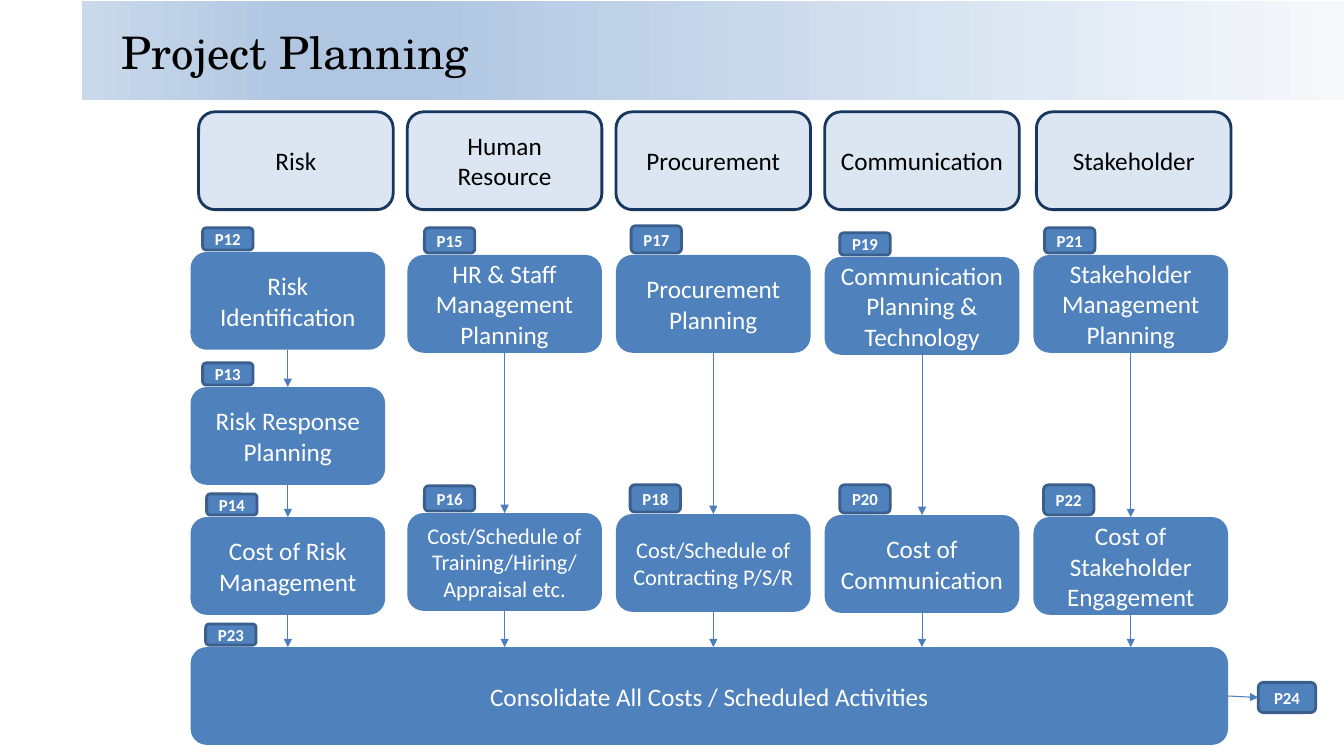
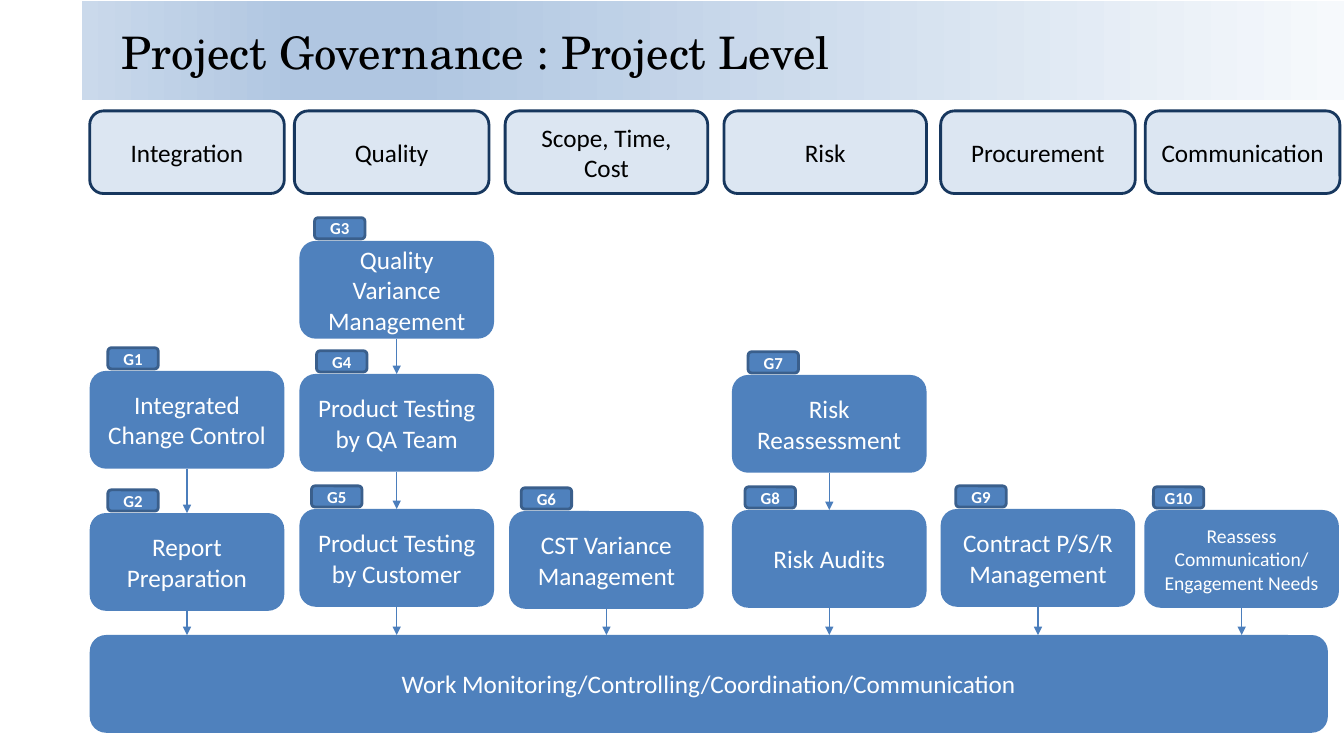
from lxml import etree
from pptx import Presentation
from pptx.dml.color import RGBColor
from pptx.enum.shapes import MSO_CONNECTOR, MSO_SHAPE
from pptx.enum.text import MSO_ANCHOR, PP_ALIGN
from pptx.oxml.ns import qn
from pptx.util import Inches, Pt

RECTANGLE = MSO_SHAPE.RECTANGLE
ROUNDED = MSO_SHAPE.ROUNDED_RECTANGLE
STRAIGHT = MSO_CONNECTOR.STRAIGHT
MIDDLE = MSO_ANCHOR.MIDDLE
CENTER = PP_ALIGN.CENTER
TOP, LEFT, BOTTOM, RIGHT = range(4)

COLORS = {
    "step": "4F81BD", "step text": "FFFFFF",
    "heading": "DCE6F2", "heading line": "17375E", "heading text": "000000",
    "tag line": "3A5F8C", "arrow": "4B7EBC", "title": "000000",
}
BAND_STOPS = [(0, "F6F9FC"), (74, "B0C6E1"), (83, "B0C6E1"), (100, "CAD9EB")]
TITLE_FONT, BODY_FONT = "TeX Gyre Schola", "Calibri"

# Grid, in inches
SLIDE_WIDTH, SLIDE_HEIGHT = 13.33, 7.5
BAND_LEFT = 0.81
STEP_WIDTH, STEP_HEIGHT = 1.93, 0.97
TAG_WIDTH, TAG_GAP = 0.5, 0.02
PITCH = 2.07
FIRST = 1.97  # left edge of the first planning column

# Column: heading, heading left, heading width, step left, steps
# Step: tag, tag indent, tag height, top, text, text size
PAGES = [
    {
        "title": "Project Planning",
        "heading row": (1.11, 0.97),
        "bar": (1.89, 6.42, 10.29, "Consolidate All Costs / Scheduled Activities"),
        "bar tag": ("P23", 0.15, 0.21),
        "exit tag": ("P24", 12.48, 6.77, 0.57, 0.3),
        "columns": [
            ("Risk", FIRST, 1.93, FIRST - 0.08, [
                ("P12", 0.12, 0.22, 2.5, "Risk Identification", 18),
                ("P13", 0.12, 0.22, 3.84, "Risk Response Planning", 18),
                ("P14", 0.16, 0.21, 5.13, "Cost of Risk Management", 18)]),
            ("Human Resource", FIRST + PITCH, 1.93, FIRST + PITCH, [
                ("P15", 0.17, 0.25, 2.53, "HR & Staff Management Planning", 18),
                ("P16", 0.17, 0.25, 5.09,
                 "Cost/Schedule of Training/Hiring/ Appraisal etc.", 16)]),
            ("Procurement", FIRST + 2 * PITCH, 1.93, FIRST + 2 * PITCH, [
                ("P17", 0.15, 0.27, 2.53, "Procurement Planning", 18),
                ("P18", 0.14, 0.27, 5.1, "Cost/Schedule of Contracting P/S/R", 16)]),
            ("Communication", FIRST + 3 * PITCH, 1.93, FIRST + 3 * PITCH, [
                ("P19", 0.15, 0.22, 2.55, "Communication Planning & Technology", 18),
                ("P20", 0.15, 0.28, 5.11, "Cost of Communication", 18)]),
            ("Stakeholder", FIRST + 4 * PITCH + 0.03, 1.93, FIRST + 4 * PITCH, [
                ("P21", 0.11, 0.25, 2.53, "Stakeholder Management Planning", 18),
                ("P22", 0.1, 0.3, 5.13, "Cost of Stakeholder Engagement", 18)]),
        ],
    },
    {
        "title": "Project Governance : Project Level",
        "heading row": (1.1, 0.82),
        "bar": (0.89, 6.3, 12.28,
                "Work Monitoring/Controlling/Coordination/Communication"),
        "columns": [
            ("Integration", 0.89, 1.93, 0.89, [
                ("G1", 0.18, 0.21, 3.68, "Integrated Change Control", 18),
                ("G2", 0.18, 0.21, 5.09, "Report Preparation", 18)]),
            ("Quality", 2.92, 1.93, 2.97, [
                ("G3", 0.15, 0.21, 2.39, "Quality Variance Management", 18),
                ("G4", 0.17, 0.21, 3.71, "Product Testing by QA Team", 18),
                ("G5", 0.12, 0.21, 5.05, "Product Testing by Customer", 18)]),
            ("Scope, Time, Cost", 5.01, 2.01, 5.05, [
                ("G6", 0.12, 0.21, 5.07, "CST Variance Management", 18)]),
            ("Risk", 7.18, 2.01, 7.26, [
                ("G7", 0.16, 0.21, 3.72, "Risk Reassessment", 18),
                ("G8", 0.13, 0.21, 5.06, "Risk Audits", 18)]),
            ("Procurement", 9.33, 1.93, 9.33, [
                ("G9", 0.15, 0.21, 5.05, "Contract P/S/R Management", 18)]),
            ("Communication", 11.36, 1.93, 11.35, [
                ("G10", 0.09, 0.21, 5.06,
                 "Reassess Communication/\nEngagement Needs", 14)]),
        ],
    },
]


def add_box(page, place, text, size, fill="step", line=None, color="step text"):
    """Add a rounded box with centred text; outlined in blue, it is a tag."""
    box = page.shapes.add_shape(ROUNDED, *map(Inches, place))
    box.shadow.inherit = False
    box.fill.solid()
    box.fill.fore_color.rgb = RGBColor.from_string(COLORS[fill])
    if line:
        box.line.color.rgb = RGBColor.from_string(COLORS[line])
        box.line.width = Pt(2)
    else:
        box.line.fill.background()
    frame = box.text_frame
    frame.word_wrap = line != "tag line"
    frame.vertical_anchor = MIDDLE
    frame.text = text
    for para in frame.paragraphs:
        para.alignment = CENTER
        para.font.name = BODY_FONT
        para.font.size = Pt(size)
        para.font.bold = line == "tag line"
        para.font.color.rgb = RGBColor.from_string(COLORS[color])
    return box


def add_arrow(page, start, side, target, target_side=None):
    """Join a box to another box, or run straight down to the target's top."""
    x = start.left + start.width // 2
    arrow = page.shapes.add_connector(
        STRAIGHT, x, start.top + start.height, x, target.top)
    arrow.begin_connect(start, side)
    if target_side is not None:
        arrow.end_connect(target, target_side)
    arrow.line.color.rgb = RGBColor.from_string(COLORS["arrow"])
    arrow.line.width = Pt(0.75)
    etree.SubElement(arrow.line._get_or_add_ln(), qn("a:tailEnd"), type="triangle")
    etree.SubElement(arrow._element.spPr, qn("a:effectLst"))


deck = Presentation()
deck.slide_width, deck.slide_height = Inches(SLIDE_WIDTH), Inches(SLIDE_HEIGHT)

for content in PAGES:
    page = deck.slides.add_slide(deck.slide_layouts[6])

    # Title band, fading to the right
    band = page.shapes.add_shape(
        RECTANGLE, Inches(BAND_LEFT), Inches(0.01),
        Inches(SLIDE_WIDTH - BAND_LEFT), Inches(0.98))
    band.shadow.inherit = False
    band.line.fill.background()
    band.fill.gradient()
    band.fill.gradient_angle = 180
    stops = band._element.spPr.find(".//" + qn("a:gsLst"))
    for stop in list(stops):
        stops.remove(stop)
    for percent, color in BAND_STOPS:
        stop = etree.SubElement(stops, qn("a:gs"), pos=str(percent * 1000))
        etree.SubElement(stop, qn("a:srgbClr"), val=color)

    # Title
    title = page.shapes.add_textbox(
        Inches(1.11), Inches(0.06), Inches(11.78), Inches(0.91))
    title.text_frame.word_wrap = True
    title.text_frame.vertical_anchor = MIDDLE
    para = title.text_frame.paragraphs[0]
    para.text = content["title"]
    para.font.name = TITLE_FONT
    para.font.size = Pt(32)
    para.font.color.rgb = RGBColor.from_string(COLORS["title"])

    # Bar that gathers all columns
    bar_left, bar_top, bar_width, bar_text = content["bar"]
    bar = add_box(page, (bar_left, bar_top, bar_width, STEP_HEIGHT), bar_text, 18)
    tags = []
    if "bar tag" in content:
        name, indent, height = content["bar tag"]
        tags.append((name, bar_left + indent, bar_top, height))

    # Columns: heading, steps and the arrows between them
    heading_top, heading_height = content["heading row"]
    for heading, heading_left, heading_width, left, steps in content["columns"]:
        add_box(page, (heading_left, heading_top, heading_width, heading_height),
                heading, 18, "heading", "heading line", "heading text")
        boxes = []
        for name, indent, height, top, text, size in steps:
            place = (left, top, STEP_WIDTH, STEP_HEIGHT)
            boxes.append(add_box(page, place, text, size))
            tags.append((name, left + indent, top, height))
        for upper, lower in zip(boxes, boxes[1:]):
            add_arrow(page, upper, BOTTOM, lower, TOP)
        add_arrow(page, boxes[-1], BOTTOM, bar)

    # Tags sit on top of their boxes
    for name, left, box_top, height in tags:
        place = (left, box_top - TAG_GAP - height, TAG_WIDTH, height)
        add_box(page, place, name, 12, line="tag line")

    # Tag to the right of the bar
    if "exit tag" in content:
        name, *place = content["exit tag"]
        exit_tag = add_box(page, place, name, 12, line="tag line")
        add_arrow(page, bar, RIGHT, exit_tag, LEFT)

deck.save("out.pptx")
